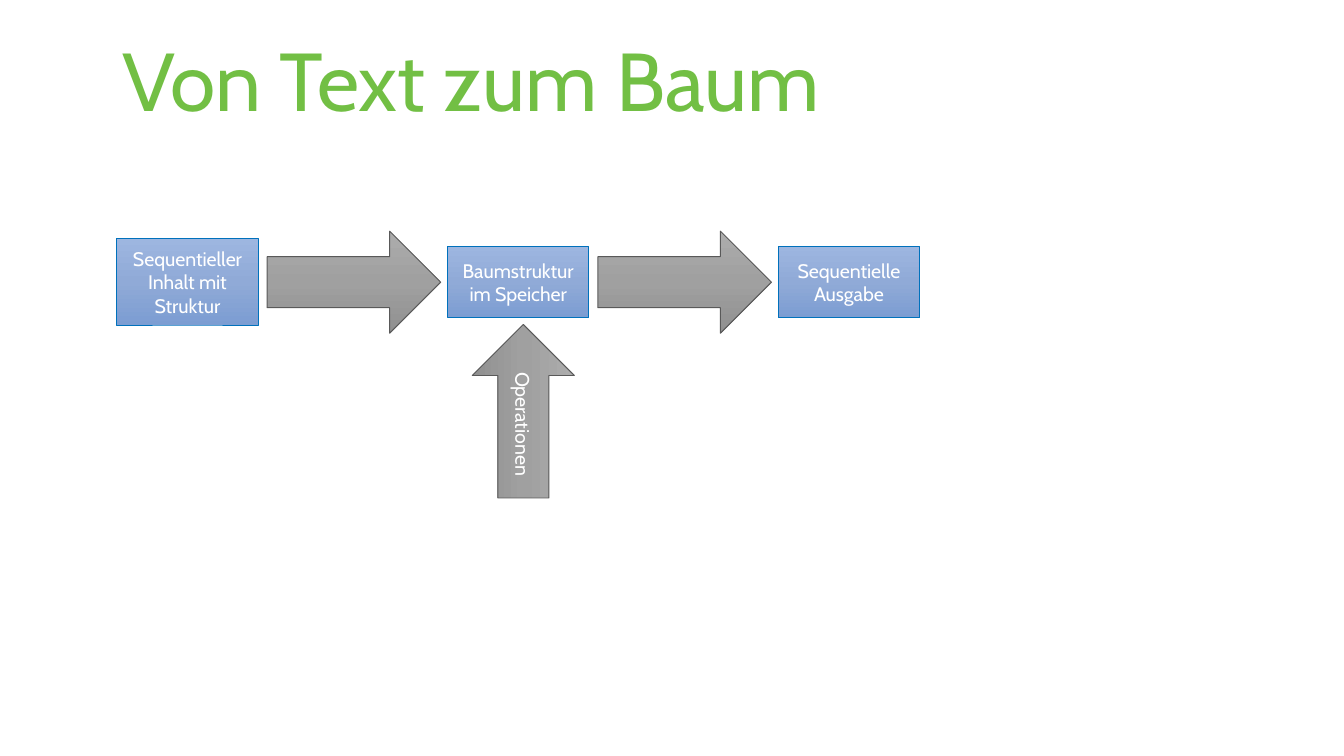
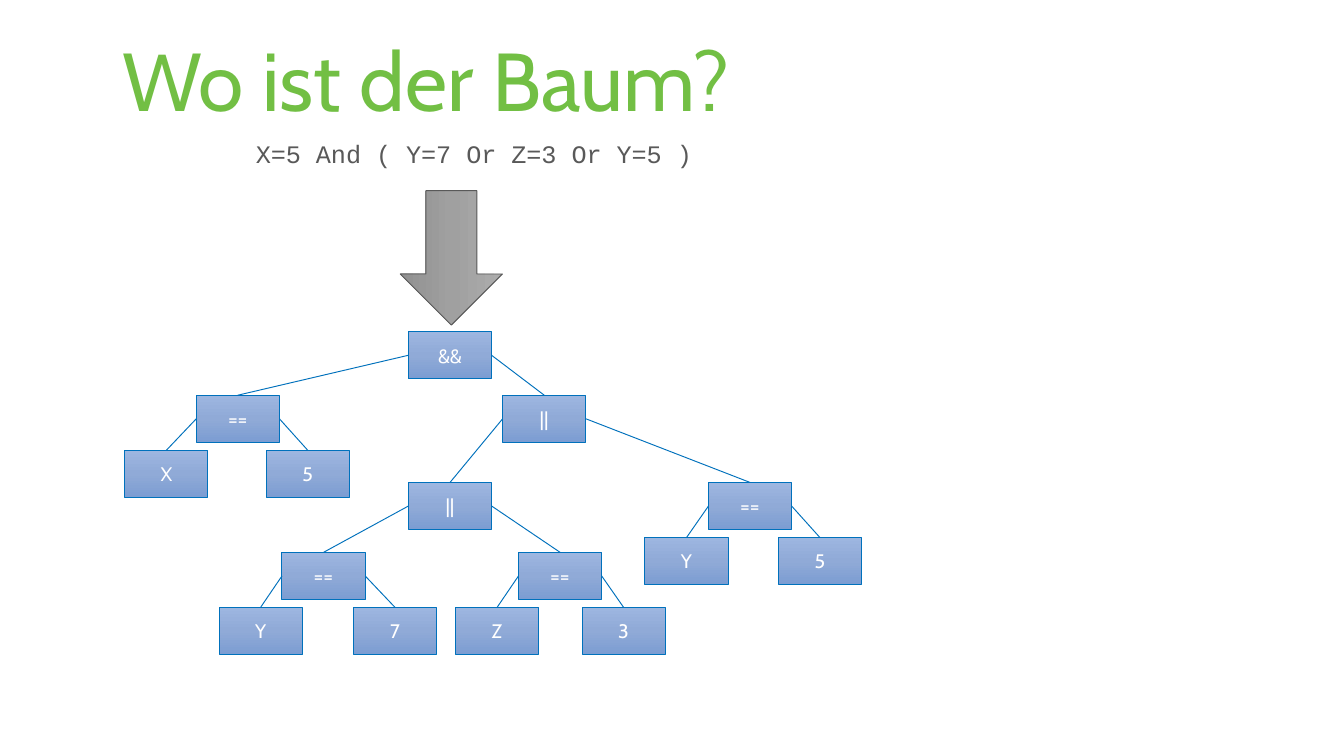
from copy import deepcopy

from lxml import etree
from pptx import Presentation
from pptx import util as u
from pptx.dml.color import RGBColor
from pptx.enum import shapes, text
from pptx.oxml.ns import qn

COLOURS = {
    "title": "72BF44",
    "grey": "595959",
    "blue": "0071BC",
    "white": "FFFFFF",
}
GRADIENTS = {
    "box": ("9DB6E0", "90AAD7", "7C9DD2"),
    "arrow": ("ACACAC", "A0A0A0", "909090"),
}
FONT = "Cabin"
CODE_FONT = "Courier New"
TOP, LEFT, RIGHT = 0, 1, 3
NODE_WIDTH, NODE_HEIGHT = 1.57, 0.89
LEAF_DROP = 1.04


def cm(*lengths):
    return [u.Cm(length) for length in lengths]


def rgb(name):
    return RGBColor.from_string(COLOURS[name])


class Deck:
    def __init__(self):
        self.prs = Presentation()
        self.prs.slide_width, self.prs.slide_height = cm(25.4, 14.29)

    def new_slide(self, heading):
        slide = self.prs.slides.add_slide(self.prs.slide_layouts[5])
        self.shapes = slide.shapes
        title = slide.shapes.title
        title.left, title.top, title.width, title.height = cm(2.31, 0.53, 22.4, 1.91)
        self.label(title.text_frame, heading, 44, "title", insets=(0, 0),
                   align=text.PP_ALIGN.LEFT, wrap=False)

    def group(self):
        self.shapes = self.shapes.add_group_shape().shapes

    def label(self, frame, words, size, colour, font=FONT, insets=(0.18, 0.1),
              align=text.PP_ALIGN.CENTER, wrap=True,
              anchor=text.MSO_ANCHOR.MIDDLE, fit=text.MSO_AUTO_SIZE.NONE):
        frame.margin_left = frame.margin_right = u.Cm(insets[0])
        frame.margin_top = frame.margin_bottom = u.Cm(insets[1])
        frame.word_wrap = wrap
        frame.vertical_anchor = anchor
        frame.auto_size = fit
        paragraph = frame.paragraphs[0]
        paragraph.alignment = align
        run = paragraph.add_run()
        run.text = words
        run.font.name = font
        run.font.size = u.Pt(size)
        run.font.color.rgb = rgb(colour)

    def code(self, words, left, top, width, height):
        frame = self.shapes.add_textbox(*cm(left, top, width, height)).text_frame
        self.label(frame, words, 13.5, "grey", CODE_FONT, insets=(0.25, 0.13),
                   wrap=False, anchor=text.MSO_ANCHOR.TOP,
                   fit=text.MSO_AUTO_SIZE.SHAPE_TO_FIT_TEXT)

    def preset(self, kind, place, gradient, outline, words):
        shape = self.shapes.add_shape(kind, *cm(*place))
        shape.shadow.inherit = False
        shape.line.color.rgb = rgb(outline)
        shape.line.width = u.Pt(0.5)
        shape.fill.gradient()
        shape.fill.gradient_angle = 270
        stop_list = shape._element.spPr.find(".//" + qn("a:gsLst"))
        stop_list.append(deepcopy(stop_list[-1]))
        for index, stop in enumerate(shape.fill.gradient_stops):
            stop.position = index / 2
            stop.color.rgb = RGBColor.from_string(GRADIENTS[gradient][index])
        if words:
            self.label(shape.text_frame, words, 10.5, "white")
        return shape

    def box(self, words, left, top, width, height):
        return self.preset(shapes.MSO_SHAPE.RECTANGLE, (left, top, width, height),
                           "box", "blue", words)

    def arrow(self, left, top, width, words="", rotation=0, flipped=False):
        arrow = self.preset(shapes.MSO_SHAPE.RIGHT_ARROW, (left, top, width, 1.93),
                            "arrow", "grey", words)
        arrow.rotation = rotation
        if flipped:
            arrow._element.spPr.find(qn("a:xfrm")).set("flipV", "1")

    def branch(self, parent, side, child):
        line = self.shapes.add_connector(shapes.MSO_CONNECTOR.STRAIGHT, 0, 0, 0, 0)
        line.begin_connect(parent, side)
        line.end_connect(child, TOP)
        line.line.color.rgb = rgb("blue")
        line.line.width = u.Pt(0.5)
        etree.SubElement(line._element.spPr, qn("a:effectLst"))

    def tree(self, symbol, left, top, *children):
        node = self.box(symbol, left, top, NODE_WIDTH, NODE_HEIGHT)
        for side, child in zip((LEFT, RIGHT), children):
            self.branch(node, side, self.tree(*child))
        return node


def comparison(left, top, name, name_left, value, value_left):
    leaf_top = top + LEAF_DROP
    return ("==", left, top, (name, name_left, leaf_top), (value, value_left, leaf_top))


def text_to_tree(deck):
    deck.new_slide("Von Text zum Baum")
    first_left, step, middle = 2.21, 6.25, 5.33
    stages = [
        ("Sequentieller Inhalt mit Struktur", 1.63),
        ("Baumstruktur im Speicher", 1.35),
        ("Sequentielle Ausgabe", 1.35),
    ]
    for index, (stage, height) in enumerate(stages):
        left = first_left + index * step
        deck.box(stage, left, middle - height / 2, 2.67, height)
        if index < len(stages) - 1:
            deck.arrow(left + 2.84, middle - 0.96, 3.28)
    deck.arrow(8.25, 6.81, 3.28, "Operationen", rotation=270, flipped=True)


def where_is_the_tree(deck):
    deck.new_slide("Wo ist der Baum?")
    deck.code("X=5 And ( Y=7 Or Z=3 Or Y=5 )", 4.5, 2.49, 8.92, 0.84)
    deck.group()
    deck.arrow(7.26, 3.91, 2.54, rotation=90)
    inner_or = ("||", 7.72, 9.12,
                comparison(5.33, 10.44, "Y", 4.14, "7", 6.68),
                comparison(9.8, 10.44, "Z", 8.61, "3", 11))
    outer_or = ("||", 9.5, 7.47, inner_or,
                comparison(13.39, 9.12, "Y", 12.19, "5", 14.71))
    deck.tree("&&", 7.72, 6.27,
              comparison(3.71, 7.47, "X", 2.36, "5", 5.03), outer_or)


def main():
    deck = Deck()
    text_to_tree(deck)
    where_is_the_tree(deck)
    deck.prs.save("out.pptx")


if __name__ == "__main__":
    main()
